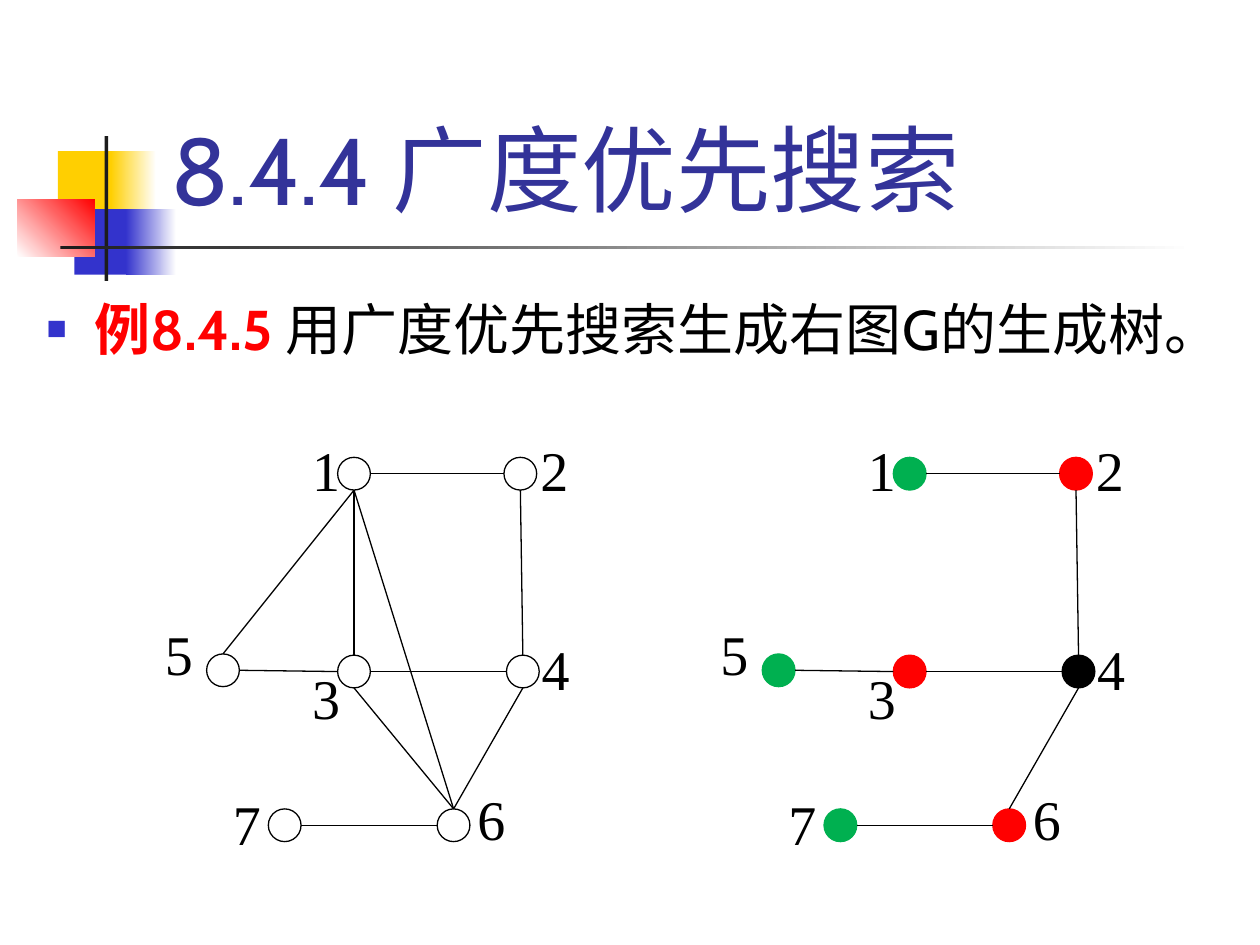
from lxml import etree
from pptx import Presentation
from pptx.dml.color import RGBColor as RGB
from pptx.enum.shapes import MSO_CONNECTOR as LINK, MSO_SHAPE as SHAPE
from pptx.enum.text import MSO_ANCHOR as ANCHOR, MSO_AUTO_SIZE as FIT, PP_ALIGN as ALIGN
from pptx.oxml.ns import qn
from pptx.util import Inches, Pt

WHITE = RGB(255, 255, 255)
BLACK = RGB(0, 0, 0)
DARK = RGB(0x1C, 0x1C, 0x1C)
RED = RGB(255, 0, 0)
GREEN = RGB(0, 0xB0, 0x50)
GOLD = RGB(0xFF, 0xCF, 0x01)
BLUE = RGB(0x33, 0x33, 0xCC)
NAVY = RGB(0x33, 0x33, 0x99)

SIZE = 0.26
SHIFT = 4.41
DECOR = [
    ((0.46, 1.2, 0.48, 0.52), [GOLD], 0),
    ((0.88, 1.2, 0.36, 0.52), [GOLD, WHITE], 0),
    ((0.59, 1.66, 0.46, 0.52), [BLUE], 0),
    ((1, 1.66, 0.4, 0.52), [BLUE, WHITE], 0),
    ((0.14, 1.58, 0.61, 0.46), [WHITE, RED], 45),
    ((0.83, 1.08, 0.03, 1.15), [DARK], 0),
    ((0.48, 1.95, 9, 0.03), [DARK, WHITE], 0),
]
NODES = {1: (2.68, 3.63), 2: (4, 3.63), 3: (2.68, 5.2), 4: (4.02, 5.2),
         5: (1.64, 5.19), 6: (3.47, 6.42), 7: (2.13, 6.42)}
LABELS = {1: (2.38, 3.41), 2: (4.19, 3.41), 3: (2.38, 5.22), 4: (4.2, 4.99),
          5: (1.21, 4.87), 6: (3.69, 6.18), 7: (1.75, 6.22)}
TREE = [(5, 3), (3, 4), (1, 2), (2, 4), (7, 6), (4, 6)]
GRAPH = TREE + [(1, 5), (1, 3), (3, 6), (1, 6)]
HUES = {1: GREEN, 2: RED, 3: RED, 4: BLACK, 5: GREEN, 6: RED, 7: GREEN}


def apply(item, style):
    """Set each attribute of item from a dict."""
    for key, value in style.items():
        setattr(item, key, value)


def place(item, box):
    """Move and size an item in inches."""
    names = ("left", "top", "width", "height")
    apply(item, dict(zip(names, map(Inches, box))))


def write(para, text, color, **font):
    """Add a run with its font values."""
    run = para.add_run()
    run.text = text
    apply(run.font, font)
    run.font.color.rgb = color


def draw(slide, kind, box, colors, edge=None, angle=0):
    """Add a shape with a plain or gradient fill."""
    shape = slide.shapes.add_shape(kind, *map(Inches, box))
    shape.shadow.inherit = False
    if len(colors) > 1:
        shape.fill.gradient()
        shape.fill.gradient_angle = angle
        for stop, color in zip(shape.fill.gradient_stops, colors):
            stop.color.rgb = color
    else:
        shape.fill.solid()
        shape.fill.fore_color.rgb = colors[0]
    if edge is None:
        shape.line.fill.background()
    else:
        shape.line.color.rgb = edge
        shape.line.width = Pt(0.75)
    return shape


def label(slide, text, spot):
    """Add a node number on a white box."""
    shape = draw(slide, SHAPE.RECTANGLE, (*spot, 0.87, 0.76), [WHITE], WHITE)
    shape.text_frame.vertical_anchor = ANCHOR.TOP
    para = shape.text_frame.paragraphs[0]
    para.alignment = ALIGN.LEFT
    write(para, text, BLACK, size=Pt(32), name="Times New Roman")


def link(slide, start, end):
    """Join two nodes side to side, or bottom to top."""
    half = SIZE / 2
    level = abs(start[1] - end[1]) < 0.1
    out, into = ((SIZE, half), (0, half)) if level else ((half, SIZE), (half, 0))
    ends = (start[0] + out[0], start[1] + out[1], end[0] + into[0], end[1] + into[1])
    line = slide.shapes.add_connector(LINK.STRAIGHT, *map(Inches, ends))
    line.line.color.rgb = BLACK
    line.line.width = Pt(0.75)
    etree.SubElement(line._element.spPr, qn("a:effectLst"))


def graph(slide, edges, hues, shift):
    """Draw the labels, nodes and edges of one graph."""
    for key, (x, y) in LABELS.items():
        label(slide, str(key), (x + shift, y))
    spots = {key: (x + shift, y) for key, (x, y) in NODES.items()}
    for key, spot in spots.items():
        hue = hues.get(key, WHITE)
        edge = hues.get(key, BLACK)
        draw(slide, SHAPE.OVAL, (*spot, SIZE, SIZE), [hue], edge)
    for start, end in edges:
        link(slide, spots[start], spots[end])


def bullet(para, color):
    """Give a paragraph a small square bullet."""
    props = para._p.get_or_add_pPr()
    apply_to = {"marL": Inches(0.38), "indent": Inches(-0.38)}
    for key, value in apply_to.items():
        props.set(key, str(int(value)))
    tint = etree.SubElement(props, qn("a:buClr"))
    etree.SubElement(tint, qn("a:srgbClr"), val=str(color))
    etree.SubElement(props, qn("a:buSzPct"), val="60000")
    etree.SubElement(props, qn("a:buFont"), typeface="Arial")
    etree.SubElement(props, qn("a:buChar"), char="■")


def title(slide):
    """Fill the title placeholder."""
    shape = slide.shapes.title
    place(shape, (1.26, 0.23, 8.52, 1.6))
    apply(shape.text_frame, {"vertical_anchor": ANCHOR.BOTTOM, "auto_size": FIT.NONE})
    para = shape.text_frame.paragraphs[0]
    para.alignment = ALIGN.LEFT
    write(para, "8.4.4 广度优先搜索", NAVY, size=Pt(54), name="Cabin")


def body(slide):
    """Fill the body placeholder."""
    shape = slide.placeholders[1]
    place(shape, (0.27, 2.02, 9.73, 5.48))
    apply(shape.text_frame, {"vertical_anchor": ANCHOR.TOP, "auto_size": FIT.NONE})
    para = shape.text_frame.paragraphs[0]
    apply(para, {"line_spacing": 1.5, "space_before": Pt(8)})
    bullet(para, BLUE)
    font = {"size": Pt(32), "name": "Cabin"}
    write(para, "例8.4.5 ", RED, bold=True, **font)
    write(para, "用广度优先搜索生成右图G的生成树。", BLACK, bold=False, **font)


def main():
    """Build and save the slide."""
    deck = Presentation()
    apply(deck, {"slide_width": Inches(10), "slide_height": Inches(7.5)})
    slide = deck.slides.add_slide(deck.slide_layouts[1])
    for box, colors, angle in DECOR:
        draw(slide, SHAPE.RECTANGLE, box, colors, angle=angle)
    title(slide)
    body(slide)
    graph(slide, GRAPH, {}, 0)
    graph(slide, TREE, HUES, SHIFT)
    deck.save("out.pptx")


if __name__ == "__main__":
    main()
